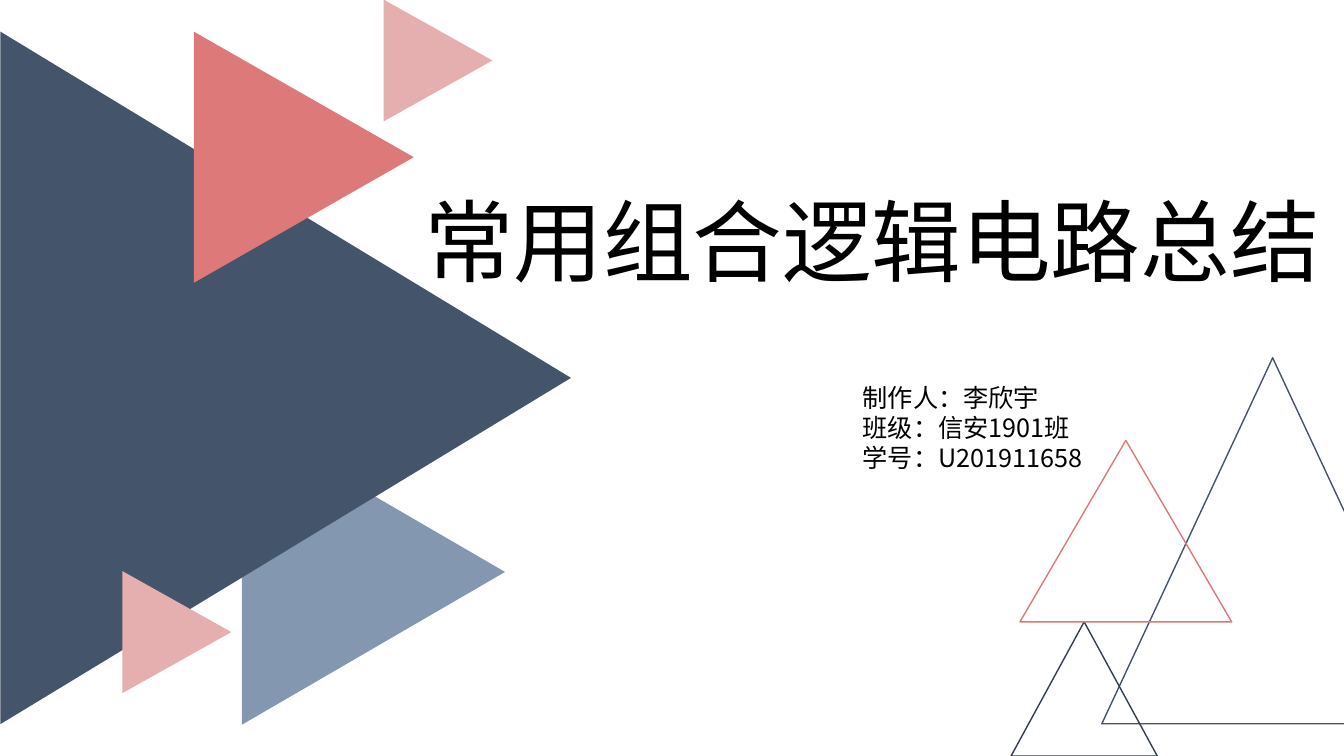
from pptx import Presentation
from pptx.dml.color import RGBColor
from pptx.enum.shapes import MSO_SHAPE as Shape
from pptx.enum.text import MSO_AUTO_SIZE as Fit
from pptx.oxml.ns import qn
from pptx.util import Pt
from lxml.etree import SubElement as Sub


def color(hex):
    return RGBColor.from_string(hex)


def place(box):
    return [Pt(n) for n in box]


deck = Presentation()
deck.slide_width, deck.slide_height = Pt(960), Pt(540)
slide = deck.slides.add_slide(deck.slide_layouts[6])

solid = [
    ((157.7, 314.6, 218.2, 187.9), "8497B0"),
    ((-43.2, 66.2, 494.6, 407.5), "44546A"),
    ((127.4, 33.8, 179.3, 157), "DD7979"),
    ((269.3, 4.3, 87.1, 77.8), "E5AFAF"),
    ((82.8, 412.6, 87.1, 77.8), "E5AFAF"),
]
for box, hue in solid:
    tri = slide.shapes.add_shape(Shape.ISOSCELES_TRIANGLE, *place(box))
    tri.shadow.inherit = False
    tri.rotation = 90
    tri.fill.solid()
    tri.fill.fore_color.rgb = color(hue)
    tri.line.fill.background()

hollow = [
    ((787, 255.6, 244.1, 261.4), "44546A"),
    ((722.2, 444.2, 104.4, 95.8), "333F50"),
    ((728.6, 314.6, 151.2, 129.6), "DD7979"),
]
for box, hue in hollow:
    tri = slide.shapes.add_shape(Shape.ISOSCELES_TRIANGLE, *place(box))
    tri.shadow.inherit = False
    tri.fill.background()
    tri.line.color.rgb = color(hue)
    tri.line.width = Pt(1)

texts = [
    ((295.9, 128.9, 654.5, 85), False, ["常用组合逻辑电路总结"],
     {"size": Pt(64), "name": "Noto Sans CJK SC"}),
    ((609.1, 269.3, 217.4, 72.7), True,
     ["制作人：李欣宇", "班级：信安1901班", "学号：U201911658"],
     {"size": Pt(18), "name": "Noto Sans CJK JP"}),
]
for box, wrap, lines, style in texts:
    frame = slide.shapes.add_textbox(*place(box)).text_frame
    frame.word_wrap = wrap
    frame.auto_size = Fit.SHAPE_TO_FIT_TEXT
    frame.text = "\n".join(lines)
    for para in frame.paragraphs:
        run = para.runs[0]
        for key, val in style.items():
            setattr(run.font, key, val)
        run.font.color.rgb = color("000000")
        Sub(run.font._element, qn("a:ea"), typeface=style["name"])

deck.save("out.pptx")
